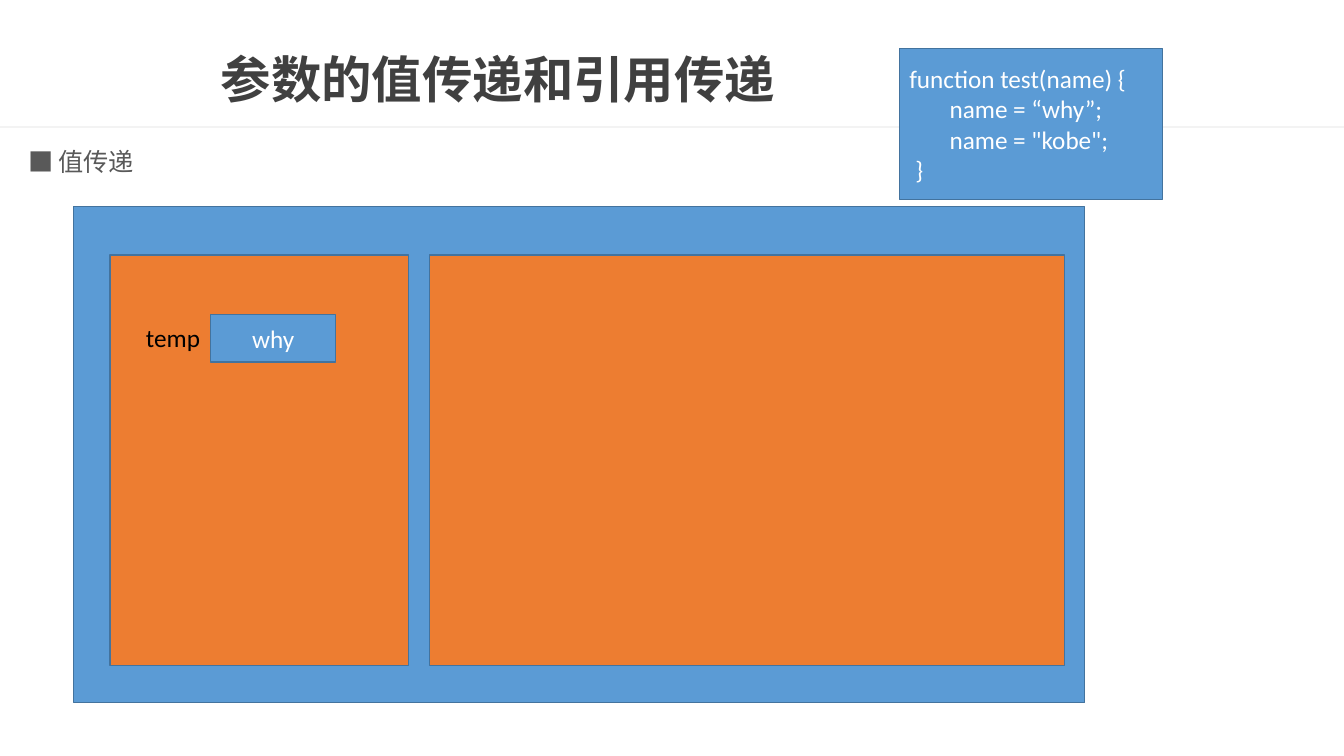
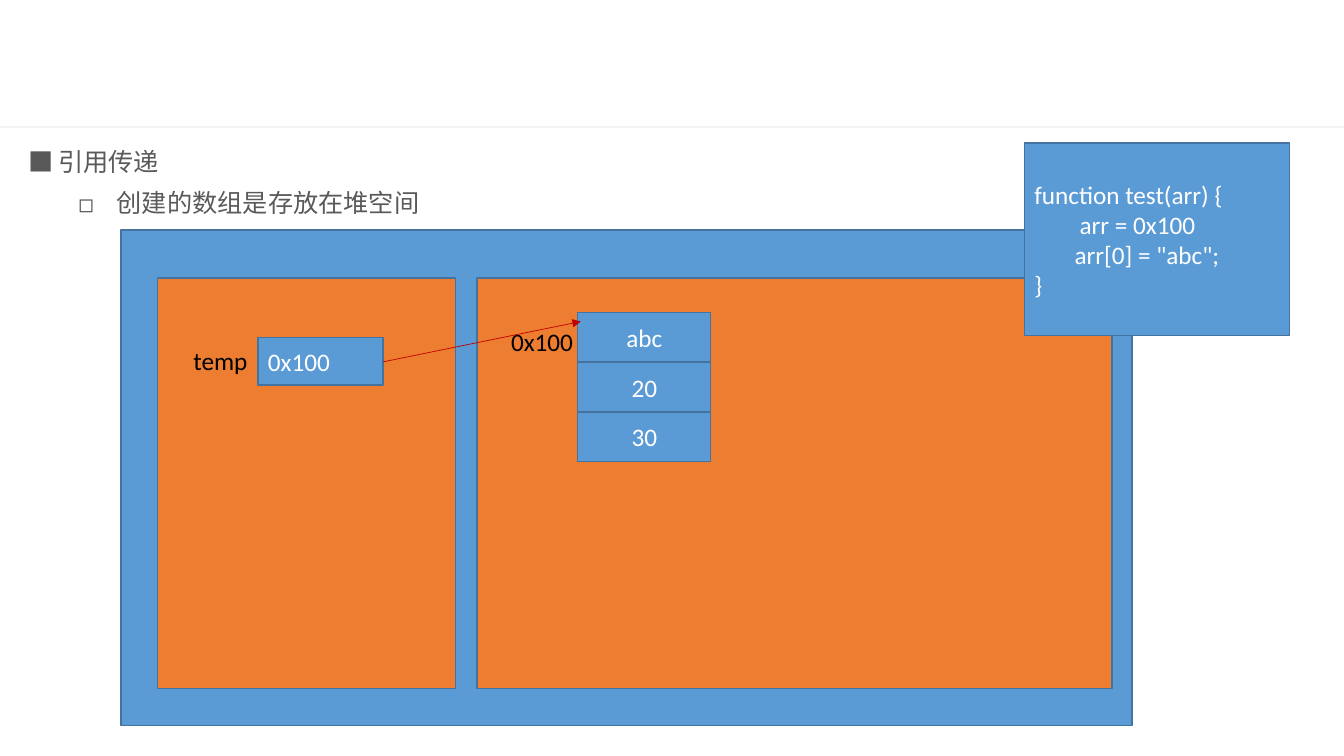
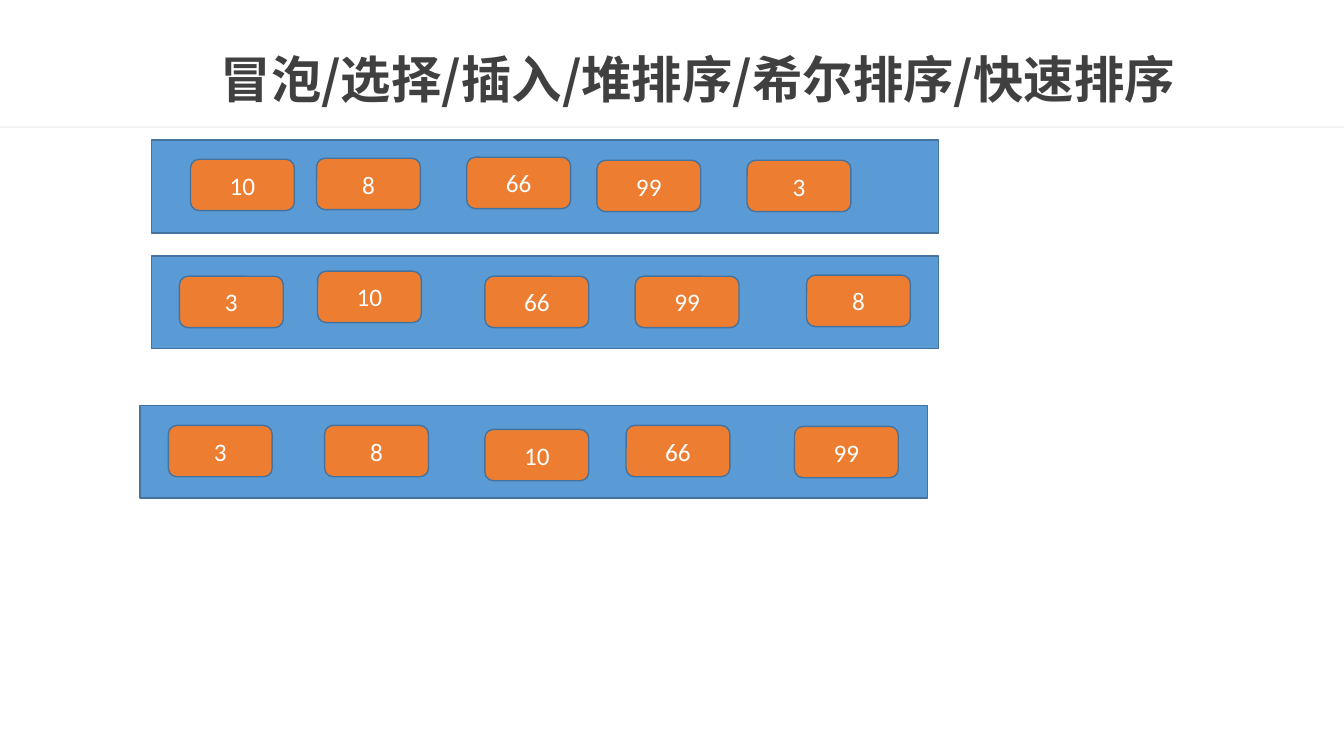
from lxml import etree
from pptx import Presentation
from pptx import util as u
from pptx.dml import color
from pptx.enum import shapes, text
from pptx.oxml import ns

WHITE = color.RGBColor(0xFF, 0xFF, 0xFF)
BLACK = color.RGBColor(0x00, 0x00, 0x00)
BLUE = color.RGBColor(0x5B, 0x9B, 0xD5)
ORANGE = color.RGBColor(0xED, 0x7D, 0x31)
OUTLINE = color.RGBColor(0x43, 0x73, 0x9E)
ARROW_RED = color.RGBColor(0xC0, 0x00, 0x00)
RULE_GREY = color.RGBColor(0xEA, 0xEA, 0xEA)
TITLE_GREY = color.RGBColor(0x40, 0x40, 0x40)
BODY_GREY = color.RGBColor(0x59, 0x59, 0x59)

LATIN, CHINESE = "Calibri", "Noto Sans CJK SC"
LEFT, CENTER = text.PP_ALIGN.LEFT, text.PP_ALIGN.CENTER
RECT = shapes.MSO_SHAPE.RECTANGLE
ROUNDED = shapes.MSO_SHAPE.ROUNDED_RECTANGLE

TITLE_FONT = {"name": CHINESE, "size": u.Pt(36), "bold": True}
BODY_FONT = {"name": CHINESE, "size": u.Pt(18)}
DIAGRAM_FONT = {"name": LATIN, "size": u.Pt(18)}

RULE_BOX = (-0.01, 1.25, 13.34, 0.02)
TITLE_BOX = (2.09, 0.43, 11.03, 0.78)
BODY_BOX = (0.18, 1.35, 12.98, 5.95)
BULLETS = [
    {"sign": "■", "margin": 0.3, "hanging": -0.3, "before": 10},
    {"sign": "◻", "margin": 0.88, "hanging": -0.38, "before": 5},
]


def apply(target, values):
    for attribute, value in values.items():
        setattr(target, attribute, value)


def inches(box):
    return [u.Inches(length) for length in box]


def within(box, dx, dy, width, height):
    return box[0] + dx, box[1] + dy, width, height


def add_child(parent, tag, **attributes):
    return etree.SubElement(parent, ns.qn(tag), attributes)


def write(paragraph, words, font, ink):
    run = paragraph.add_run()
    run.text = words
    apply(run.font, font)
    run.font.color.rgb = ink
    add_child(run._r.get_or_add_rPr(), "a:ea", typeface=font["name"])


def indent(paragraph, margin, hanging=0):
    properties = paragraph._p.get_or_add_pPr()
    properties.set("marL", str(u.Inches(margin)))
    properties.set("indent", str(u.Inches(hanging)))
    return properties


def panel(slide, box, fill, lines=(), align=CENTER, outline=RECT):
    block = slide.shapes.add_shape(outline, *inches(box))
    block.shadow.inherit = False
    block.fill.solid()
    block.fill.fore_color.rgb = fill
    block.line.color.rgb = OUTLINE
    block.line.width = u.Pt(1)
    frame = block.text_frame
    apply(frame, {"word_wrap": True, "vertical_anchor": text.MSO_ANCHOR.MIDDLE})
    for number, (words, margin) in enumerate(lines):
        paragraph = frame.add_paragraph() if number else frame.paragraphs[0]
        paragraph.alignment = align
        indent(paragraph, margin)
        write(paragraph, words, DIAGRAM_FONT, WHITE)
    return block


def label(slide, box, words):
    frame = slide.shapes.add_textbox(*inches(box)).text_frame
    apply(frame, {"word_wrap": False, "auto_size": text.MSO_AUTO_SIZE.SHAPE_TO_FIT_TEXT})
    write(frame.paragraphs[0], words, DIAGRAM_FONT, BLACK)


def header_rule(slide, box):
    rule = slide.shapes.add_shape(RECT, *inches(box))
    rule.shadow.inherit = False
    rule.fill.solid()
    rule.fill.fore_color.rgb = RULE_GREY
    tint = rule._element.spPr.find(".//" + ns.qn("a:srgbClr"))
    add_child(tint, "a:alpha", val="54000")
    rule.line.fill.background()


def title(slide, box, words):
    frame = slide.shapes.add_textbox(*inches(box)).text_frame
    apply(frame, {"word_wrap": True, "vertical_anchor": text.MSO_ANCHOR.MIDDLE})
    heading = frame.paragraphs[0]
    heading.line_spacing = 0.9
    write(heading, words, TITLE_FONT, TITLE_GREY)


def bullet_list(slide, box, points):
    frame = slide.shapes.add_textbox(*inches(box)).text_frame
    frame.word_wrap = True
    for level, words in enumerate(points):
        style = BULLETS[level]
        point = frame.add_paragraph() if level else frame.paragraphs[0]
        apply(point, {"level": level, "line_spacing": u.Pt(25),
                      "space_before": u.Pt(style["before"])})
        properties = indent(point, style["margin"], style["hanging"])
        add_child(properties, "a:buFont", typeface=CHINESE)
        add_child(properties, "a:buChar", char=style["sign"])
        write(point, words, BODY_FONT, BODY_GREY)


def memory(slide, box, value, align):
    panel(slide, box, BLUE)
    panel(slide, within(box, 0.36, 0.48, 2.96, 4.07), ORANGE)
    panel(slide, within(box, 3.53, 0.48, 6.3, 4.07), ORANGE)
    panel(slide, within(box, 1.36, 1.07, 1.24, 0.47), BLUE, [(value, 0)], align)
    label(slide, within(box, 0.62, 1.1, 0.74, 0.4), "temp")


def heap_array(slide, box, address, items):
    left, top, width, height = box
    cell_height = height / len(items)
    for index, item in enumerate(items):
        cell = (left, top + index * cell_height, width, cell_height)
        panel(slide, cell, BLUE, [(item, 0)])
    label(slide, within(box, -0.76, 0.09, 0.82, 0.4), address)


def reference_arrow(slide, start, end):
    arrow = slide.shapes.add_connector(
        shapes.MSO_CONNECTOR.STRAIGHT, *inches(start + end))
    arrow.line.color.rgb = ARROW_RED
    arrow.line.width = u.Pt(0.5)
    add_child(arrow.line._get_or_add_ln(), "a:tailEnd", type="triangle")
    add_child(arrow._element.spPr, "a:effectLst")


def number_row(slide, box, numbers):
    panel(slide, box, BLUE)
    for number, dx, dy in numbers:
        panel(slide, within(box, dx, dy, 1.03, 0.51), ORANGE,
              [(str(number), 0)], outline=ROUNDED)


def new_slide(deck, heading=None):
    slide = deck.slides.add_slide(deck.slide_layouts[6])
    header_rule(slide, RULE_BOX)
    if heading:
        title(slide, TITLE_BOX, heading)
    return slide


def pass_by_value(deck):
    slide = new_slide(deck, "参数的值传递和引用传递")
    bullet_list(slide, BODY_BOX, ["值传递"])
    memory(slide, (0.73, 2.05, 10.03, 4.92), "why", CENTER)
    code = [("function test(name) {", 0), ("name = “why”;", 0.4),
            ('name = "kobe";', 0.4), ("}", 0.06)]
    panel(slide, (8.92, 0.48, 2.61, 1.5), BLUE, code, LEFT)


def pass_by_reference(deck):
    slide = new_slide(deck)
    bullet_list(slide, BODY_BOX, ["引用传递", "创建的数组是存放在堆空间"])
    memory(slide, (1.2, 2.28, 10.03, 4.92), "0x100", LEFT)
    heap_array(slide, (5.73, 3.1, 1.32, 1.48), "0x100", ["abc", "20", "30"])
    reference_arrow(slide, (3.8, 3.59), (5.76, 3.19))
    code = [("function test(arr) {", 0), ("arr = 0x100", 0.45),
            ('arr[0] = "abc";', 0.4), ("}", 0)]
    panel(slide, (10.16, 1.42, 2.63, 1.91), BLUE, code, LEFT)


def sorting(deck):
    slide = new_slide(deck, "冒泡/选择/插入/堆排序/希尔排序/快速排序")
    passes = [
        (1.5, 1.39, [(10, 0.39, 0.19), (8, 1.64, 0.18), (66, 3.13, 0.17),
                     (99, 4.42, 0.2), (3, 5.91, 0.2)]),
        (1.5, 2.54, [(3, 0.28, 0.2), (10, 1.65, 0.15), (66, 3.31, 0.2),
                     (99, 4.8, 0.2), (8, 6.5, 0.19)]),
        (1.39, 4.02, [(3, 0.28, 0.2), (8, 1.83, 0.2), (10, 3.42, 0.24),
                      (66, 4.82, 0.2), (99, 6.49, 0.21)]),
    ]
    for left, top, numbers in passes:
        number_row(slide, (left, top, 7.81, 0.92), numbers)


deck = Presentation()
apply(deck, {"slide_width": u.Inches(13.33), "slide_height": u.Inches(7.5)})
for build in (pass_by_value, pass_by_reference, sorting):
    build(deck)
deck.save("out.pptx")
